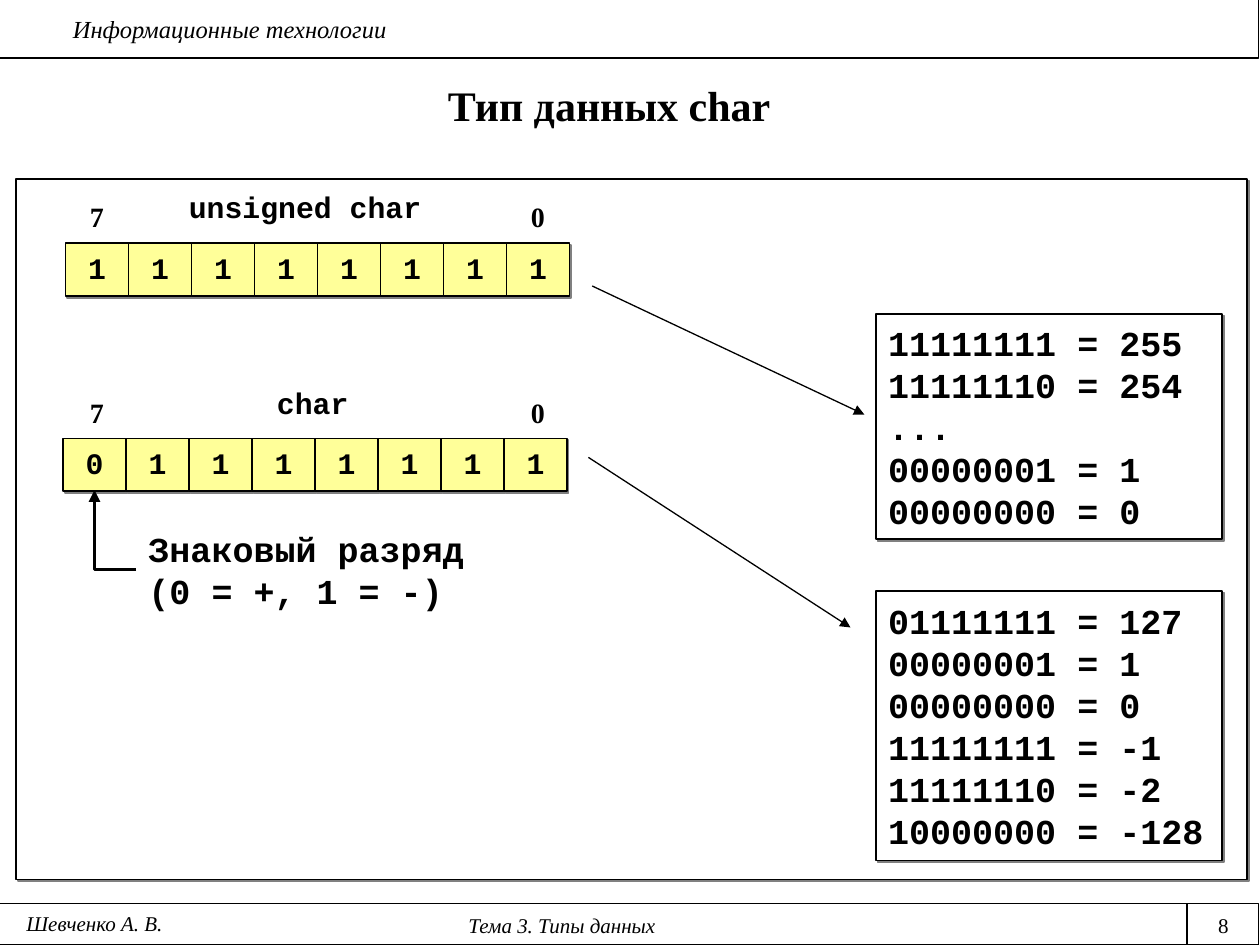
from dataclasses import dataclass

from lxml import etree
from pptx import Presentation
from pptx.dml.color import RGBColor
from pptx.enum.shapes import MSO_CONNECTOR, MSO_SHAPE
from pptx.enum.text import MSO_ANCHOR, PP_ALIGN
from pptx.oxml.ns import qn
from pptx.util import Inches, Pt

RECTANGLE = MSO_SHAPE.RECTANGLE
STRAIGHT, ELBOW = MSO_CONNECTOR.STRAIGHT, MSO_CONNECTOR.ELBOW
LEFT, CENTER = PP_ALIGN.LEFT, PP_ALIGN.CENTER
TOP, MIDDLE = MSO_ANCHOR.TOP, MSO_ANCHOR.MIDDLE


@dataclass(frozen=True)
class Theme:
    """Colours, fonts, type sizes and line widths of the slide."""
    ink: str = "000000"
    paper: str = "FFFFFF"
    bit: str = "FFFF99"
    shadow: str = "808080"
    serif: str = "Times New Roman"
    mono: str = "Courier New"
    title: float = 24
    values: float = 20
    code: float = 17
    index: float = 16
    header: float = 14
    footer: float = 12
    hairline: float = 0.74
    outline: float = 0.99
    pointer: float = 2.24


THEME = Theme()


def write(shape, text, font, size, align=LEFT, anchor=MIDDLE, bold=False,
          italic=False, spacing=None):
    """Fill a shape with text of one style."""
    frame = shape.text_frame
    frame.word_wrap = True
    frame.vertical_anchor = anchor
    frame.text = text
    for paragraph in frame.paragraphs:
        paragraph.alignment = align
        if spacing:
            paragraph.line_spacing = spacing
        paragraph.font.name = font
        paragraph.font.size = Pt(size)
        paragraph.font.bold = bold
        paragraph.font.italic = italic
        paragraph.font.color.rgb = RGBColor.from_string(THEME.ink)


def add_label(slide, box, text, font, size, **style):
    """Add a text box at box = (left, top, width, height) in inches."""
    label = slide.shapes.add_textbox(*map(Inches, box))
    write(label, text, font, size, **style)


def add_panel(slide, box, fill=THEME.paper, width=THEME.outline, raised=True):
    """Add an outlined rectangle, with a hard shadow when raised."""
    panel = slide.shapes.add_shape(RECTANGLE, *map(Inches, box))
    panel.fill.solid()
    panel.fill.fore_color.rgb = RGBColor.from_string(fill)
    panel.line.color.rgb = RGBColor.from_string(THEME.ink)
    panel.line.width = Pt(width)
    panel.shadow.inherit = False
    if raised:
        effects = panel._element.spPr.find(qn("a:effectLst"))
        shadow = etree.SubElement(effects, qn("a:outerShdw"), blurRad="0",
                                  dist=str(Pt(1.4)), dir="2700000")
        etree.SubElement(shadow, qn("a:srgbClr"), val=THEME.shadow)
    return panel


def add_line(slide, start, end, width=THEME.hairline, arrow=True, kind=STRAIGHT):
    """Draw a line between two points, with an arrowhead at its end."""
    line = slide.shapes.add_connector(kind, *map(Inches, start + end))
    line.line.color.rgb = RGBColor.from_string(THEME.ink)
    line.line.width = Pt(width)
    properties = line._element.spPr
    if arrow:
        etree.SubElement(properties.find(qn("a:ln")), qn("a:tailEnd"),
                         type="triangle")
    etree.SubElement(properties, qn("a:effectLst"))
    return line


def add_header(slide, left, top, width, height):
    """Draw the top band with the course name."""
    add_panel(slide, (left, top, width, height), width=THEME.hairline,
              raised=False)
    add_label(slide, (left + 0.49, top + 0.07, width - 0.58, 0.34),
              "Информационные технологии", THEME.serif, THEME.header,
              anchor=TOP, italic=True)


def add_footer(slide, left, top, width, height):
    """Draw the bottom band with author, topic and page number."""
    add_panel(slide, (left, top, width, height), width=THEME.hairline,
              raised=False)
    divider = left + 9.43
    add_line(slide, (divider, top), (divider, top + height), arrow=False)
    parts = [("Шевченко А. В.", 0, 0.01, 1.5, True),
             ("Тема 3. Типы данных", 0, 0.02, 8.92, True),
             ("8", 9.42, 0.02, 0.58, False)]
    for text, part_left, drop, part_width, italic in parts:
        add_label(slide, (part_left, top + drop, part_width, 0.3), text,
                  THEME.serif, THEME.footer, align=CENTER, anchor=TOP,
                  italic=italic)


def add_byte(slide, left, top, bits, type_name, name_left, name_width):
    """Draw a row of bit cells with its type name and outer bit numbers."""
    cell_width, cell_height, index_left = 0.5, 0.42, 0.52
    for position, bit in enumerate(bits):
        cell = add_panel(slide, (left + position * cell_width, top, cell_width,
                                 cell_height), fill=THEME.bit)
        write(cell, bit, THEME.mono, THEME.code, align=CENTER, bold=True,
              spacing=0.9)
    add_label(slide, (name_left, top - 0.48, name_width, cell_height),
              type_name, THEME.mono, THEME.code, bold=True, spacing=0.9)
    last = len(bits) - 1
    for index in (last, 0):
        add_label(slide, (index_left + (last - index) * cell_width, top - 0.42,
                          cell_width, cell_height), str(index), THEME.serif,
                  THEME.index, align=CENTER, bold=True)


def add_sign_note(slide, left, top, width, height):
    """Explain the sign bit and point up at it from the note."""
    add_label(slide, (left, top, width, height),
              "Знаковый разряд\v(0 = +, 1 = -)", THEME.mono, THEME.values,
              bold=True)
    bend, middle = left - 0.33, top + height / 2
    pointer = add_line(slide, (bend, top - 0.09), (left, middle),
                       width=THEME.pointer, kind=ELBOW)
    properties = pointer._element.spPr
    properties.find(qn("a:xfrm")).set("rot", "10800000")
    properties.find(qn("a:prstGeom")).set("prst", "bentConnector2")


def add_values(slide, box, text):
    """Draw a panel that lists bit patterns and their values."""
    write(add_panel(slide, box), text, THEME.mono, THEME.values, bold=True)


def build_slide(presentation):
    """Compose the slide about the char data type."""
    slide = presentation.slides.add_slide(presentation.slide_layouts[6])
    add_panel(slide, (0.13, 1.42, 9.77, 5.56))
    add_footer(slide, -0.01, 7.17, 10, 0.33)
    add_header(slide, -0.01, -0.01, 10, 0.47)
    add_label(slide, (0.25, 0.58, 9.17, 0.5), "Тип данных char", THEME.serif,
              THEME.title, align=CENTER, bold=True)
    add_byte(slide, 0.52, 1.93, "11111111", "unsigned char", 1.4, 2.42)
    add_byte(slide, 0.5, 3.48, "01111111", "char", 2.1, 1.17)
    add_sign_note(slide, 1.08, 3.98, 3.25, 1.08)
    add_values(slide, (6.95, 2.49, 2.75, 1.79),
               "11111111 = 255\n11111110 = 254\n...\n"
               "00000001 = 1\n00000000 = 0")
    add_values(slide, (6.95, 4.69, 2.75, 2.14),
               "01111111 = 127\v00000001 = 1\n00000000 = 0\n"
               "11111111 = -1\n11111110 = -2\n10000000 = -128")
    add_line(slide, (4.7, 2.27), (6.86, 3.29))
    add_line(slide, (4.67, 3.63), (6.75, 4.98))


def main():
    """Create and save the presentation."""
    presentation = Presentation()
    presentation.slide_width = Inches(10)
    presentation.slide_height = Inches(7.5)
    build_slide(presentation)
    presentation.save("out.pptx")


main()
